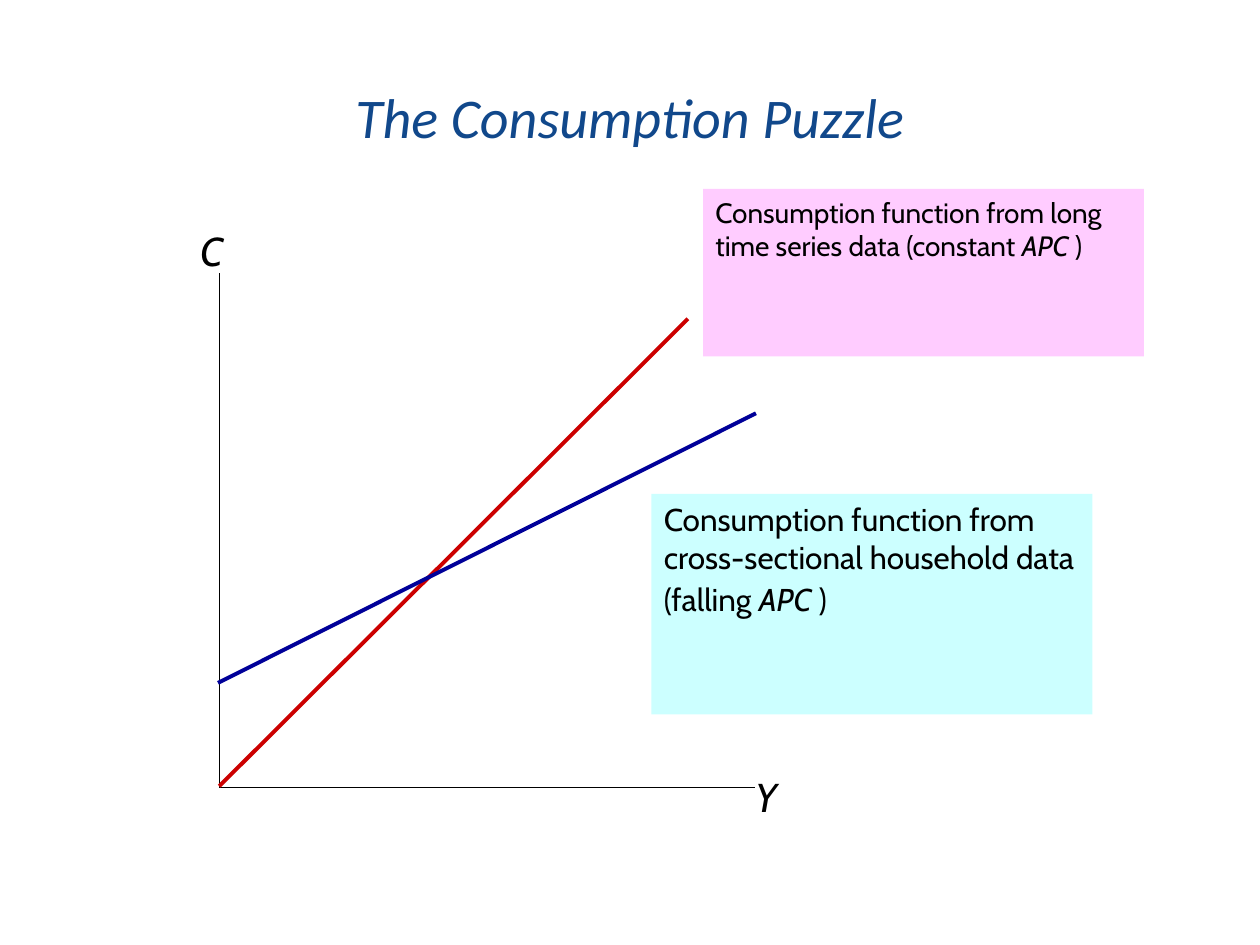
from dataclasses import dataclass

from pptx import Presentation
from pptx.dml.color import RGBColor
from pptx.enum.shapes import MSO_CONNECTOR, MSO_SHAPE
from pptx.enum.text import MSO_ANCHOR, MSO_AUTO_SIZE, PP_ALIGN
from pptx.oxml.ns import qn
from pptx.slide import Slide
from pptx.util import Inches, Pt


@dataclass(frozen=True)
class Theme:
    title_font: str = "Calibri"
    body_font: str = "Cabin"
    title_color: str = "11488B"
    ink: str = "000000"
    time_series_line: str = "CC0000"
    time_series_fill: str = "FFCCFF"
    household_line: str = "000099"
    household_fill: str = "CCFFFF"
    title_size: float = 32
    axis_size: float = 23
    axis_width: float = 0.75
    curve_width: float = 2.25


@dataclass(frozen=True)
class Segment:
    start: tuple[float, float]
    end: tuple[float, float]
    color: str
    width: float


@dataclass(frozen=True)
class AxisLabel:
    text: str
    left: float
    top: float


@dataclass(frozen=True)
class Span:
    text: str
    italic: bool = False


@dataclass(frozen=True)
class Note:
    left: float
    top: float
    height: float
    fill: str
    size: float
    space_before: float
    paragraphs: tuple[tuple[Span, ...], ...]


THEME = Theme()
ORIGIN = (1.74, 6.25)
LABEL_SIZE = (0.5, 0.49)
NOTE_WIDTH = 3.5

SEGMENTS = (
    Segment((1.74, 2.17), ORIGIN, THEME.ink, THEME.axis_width),
    Segment(ORIGIN, (5.99, 6.25), THEME.ink, THEME.axis_width),
    Segment((1.74, 6.24), (5.46, 2.53), THEME.time_series_line, THEME.curve_width),
    Segment((1.73, 5.42), (6, 3.28), THEME.household_line, THEME.curve_width),
)
AXIS_LABELS = (AxisLabel("C", 1.49, 1.75), AxisLabel("Y", 5.9, 6.08))
APC = Span("APC ", italic=True)
NOTES = (
    Note(5.58, 1.5, 1.33, THEME.time_series_fill, 16, 2, (
        (Span("Consumption function from long time series data (constant "), APC, Span(")")),
    )),
    Note(5.17, 3.92, 1.75, THEME.household_fill, 18, 2.2, (
        (Span("Consumption function from cross-sectional household data"),),
        (Span("(falling "), APC, Span(")")),
    )),
)


def format_font(font, name: str, size: float, color: str, italic: bool) -> None:
    font.name = name
    font.size = Pt(size)
    font.color.rgb = RGBColor.from_string(color)
    font.italic = italic


def set_title(slide: Slide, text: str) -> None:
    title = slide.shapes.title
    title.left, title.top = Inches(0.5), Inches(0.3)
    title.width, title.height = Inches(9), Inches(1.25)
    frame = title.text_frame
    frame.text = text
    frame.vertical_anchor = MSO_ANCHOR.MIDDLE
    paragraph = frame.paragraphs[0]
    paragraph.alignment = PP_ALIGN.CENTER
    format_font(paragraph.runs[0].font, THEME.title_font, THEME.title_size,
                THEME.title_color, True)


def draw_segment(slide: Slide, segment: Segment) -> None:
    ends = [Inches(value) for value in segment.start + segment.end]
    connector = slide.shapes.add_connector(MSO_CONNECTOR.STRAIGHT, *ends)
    connector.line.color.rgb = RGBColor.from_string(segment.color)
    connector.line.width = Pt(segment.width)
    properties = connector.element.spPr
    properties.append(properties.makeelement(qn("a:effectLst"), {}))


def draw_axis_label(slide: Slide, label: AxisLabel) -> None:
    width, height = LABEL_SIZE
    box = slide.shapes.add_textbox(Inches(label.left), Inches(label.top),
                                   Inches(width), Inches(height))
    frame = box.text_frame
    frame.text = label.text
    frame.word_wrap = True
    frame.auto_size = MSO_AUTO_SIZE.SHAPE_TO_FIT_TEXT
    paragraph = frame.paragraphs[0]
    paragraph.space_before = Pt(14.4)
    format_font(paragraph.runs[0].font, THEME.body_font, THEME.axis_size, THEME.ink, True)


def draw_note(slide: Slide, note: Note) -> None:
    box = slide.shapes.add_shape(MSO_SHAPE.RECTANGLE, Inches(note.left), Inches(note.top),
                                 Inches(NOTE_WIDTH), Inches(note.height))
    box.shadow.inherit = False
    box.fill.solid()
    box.fill.fore_color.rgb = RGBColor.from_string(note.fill)
    box.line.fill.background()
    frame = box.text_frame
    frame.word_wrap = True
    frame.vertical_anchor = MSO_ANCHOR.TOP
    for index, spans in enumerate(note.paragraphs):
        paragraph = frame.add_paragraph() if index else frame.paragraphs[0]
        paragraph.alignment = PP_ALIGN.LEFT
        paragraph.space_before = Pt(note.space_before)
        for span in spans:
            run = paragraph.add_run()
            run.text = span.text
            format_font(run.font, THEME.body_font, note.size, THEME.ink, span.italic)


def main() -> None:
    deck = Presentation()
    deck.slide_width, deck.slide_height = Inches(10), Inches(7.5)
    slide = deck.slides.add_slide(deck.slide_layouts.get_by_name("Title Only"))
    set_title(slide, "The Consumption Puzzle")
    for segment in SEGMENTS:
        draw_segment(slide, segment)
    for label in AXIS_LABELS:
        draw_axis_label(slide, label)
    for note in NOTES:
        draw_note(slide, note)
    deck.save("out.pptx")


if __name__ == "__main__":
    main()
